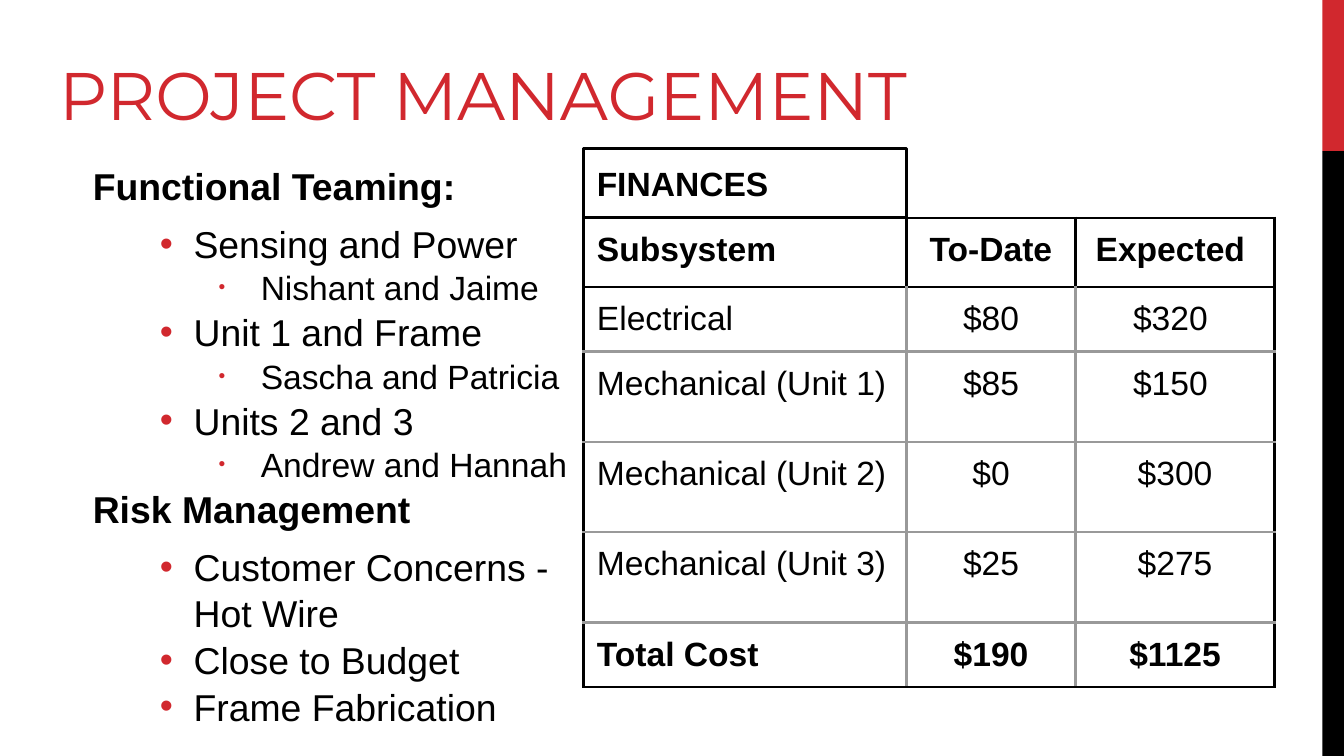
from dataclasses import dataclass

from lxml import etree
from pptx import Presentation
from pptx.dml import color
from pptx.enum import shapes, text
from pptx.oxml import ns
from pptx.util import Pt


@dataclass(frozen=True)
class Theme:
    red: str = "D1282E"
    black: str = "000000"
    grey: str = "999999"
    heading_font: str = "Montserrat"
    body_font: str = "Arial"
    title_size: float = 36
    body_size: float = 20
    small_size: float = 18
    line_width: float = 1.5
    inset: float = 7.2
    line_spacing: float = 1.04


def rgb(value):
    return color.RGBColor.from_string(value)


def add_xml(parent, tag, **attrs):
    return etree.SubElement(parent, ns.qn(tag), attrs)


class SlideBuilder:
    def __init__(self, slide, theme):
        self.slide = slide
        self.theme = theme

    def place(self, sp, box):
        sp.left, sp.top, sp.width, sp.height = map(Pt, box)

    def pad(self, target):
        target.margin_left = target.margin_right = Pt(self.theme.inset)
        target.margin_top = target.margin_bottom = Pt(self.theme.inset)

    def style(self, p, size, bold=False, font=None, ink=None):
        for r in p.runs:
            r.font.size = Pt(size)
            r.font.bold = bold
            r.font.name = font or self.theme.body_font
            r.font.color.rgb = rgb(ink or self.theme.black)

    def bar(self, box, fill):
        sp = self.slide.shapes.add_shape(shapes.MSO_SHAPE.RECTANGLE, *map(Pt, box))
        sp.shadow.inherit = False
        sp.fill.solid()
        sp.fill.fore_color.rgb = rgb(fill)
        sp.line.fill.background()

    def title(self, box, words):
        t = self.theme
        sp = self.slide.shapes.title
        self.place(sp, box)
        tf = sp.text_frame
        tf.text = words
        tf.auto_size = text.MSO_AUTO_SIZE.NONE
        tf.vertical_anchor = text.MSO_ANCHOR.BOTTOM
        self.pad(tf)
        p = tf.paragraphs[0]
        p.alignment = text.PP_ALIGN.LEFT
        self.style(p, t.title_size, font=t.heading_font, ink=t.red)

    def bullet(self, p, level):
        pPr = p._p.get_or_add_pPr()
        indent = -22.5 if level == 2 else -18
        pPr.set("marL", str(Pt(36 * (level + 1))))
        pPr.set("indent", str(Pt(indent)))
        if level == 0:
            add_xml(pPr, "a:buNone")
            return
        add_xml(add_xml(pPr, "a:buClr"), "a:srgbClr", val=self.theme.red)
        if level == 2:
            add_xml(pPr, "a:buSzPct", val="57000")
        add_xml(pPr, "a:buFont", typeface=self.theme.body_font)
        add_xml(pPr, "a:buChar", char="•")

    def outline(self, box, items):
        t = self.theme
        sp = self.slide.placeholders[1]
        self.place(sp, box)
        tf = sp.text_frame
        tf.text = "\n".join(words for _, words in items)
        tf.auto_size = text.MSO_AUTO_SIZE.NONE
        tf.vertical_anchor = text.MSO_ANCHOR.TOP
        self.pad(tf)
        previous = None
        for p, (level, _) in zip(tf.paragraphs, items):
            p.level = level
            self.bullet(p, level)
            p.alignment = text.PP_ALIGN.LEFT
            p.line_spacing = t.line_spacing
            p.space_before = Pt(6 if (previous, level) == (0, 1) else 0)
            p.space_after = Pt(0)
            size = t.small_size if level == 2 else t.body_size
            self.style(p, size, bold=level == 0)
            previous = level

    def label(self, box, words):
        t = self.theme
        sp = self.slide.shapes.add_shape(shapes.MSO_SHAPE.RECTANGLE, *map(Pt, box))
        sp.shadow.inherit = False
        sp.fill.background()
        sp.line.color.rgb = rgb(t.black)
        sp.line.width = Pt(t.line_width)
        tf = sp.text_frame
        tf.text = words
        tf.vertical_anchor = text.MSO_ANCHOR.MIDDLE
        self.pad(tf)
        p = tf.paragraphs[0]
        p.alignment = text.PP_ALIGN.LEFT
        self.style(p, t.small_size, bold=True)

    def borders(self, cell, dark_sides):
        t = self.theme
        tcPr = cell._tc.get_or_add_tcPr()
        for i, side in enumerate("LRTB"):
            ln = etree.Element(ns.qn(f"a:ln{side}"), w=str(Pt(t.line_width)))
            ink = t.black if side in dark_sides else t.grey
            add_xml(add_xml(ln, "a:solidFill"), "a:srgbClr", val=ink)
            tcPr.insert(i, ln)

    def table(self, left, top, widths, heights, rows):
        frame = self.slide.shapes.add_table(
            len(rows), len(widths), Pt(left), Pt(top), Pt(sum(widths)), Pt(sum(heights)))
        table = frame.table
        table.first_row = table.horz_banding = False
        for column, width in zip(table.columns, widths):
            column.width = Pt(width)
        for row, height in zip(table.rows, heights):
            row.height = Pt(height)
        last_row, last_col = len(rows) - 1, len(widths) - 1
        for i, row in enumerate(rows):
            for j, words in enumerate(row):
                cell = table.cell(i, j)
                cell.text = words
                cell.fill.background()
                self.pad(cell)
                p = cell.text_frame.paragraphs[0]
                p.alignment = text.PP_ALIGN.CENTER if j else text.PP_ALIGN.LEFT
                self.style(p, self.theme.small_size, bold=i in (0, last_row))
                dark = {"L": i == 0 or j == 0, "R": i == 0 or j == last_col,
                        "T": i <= 1, "B": i in (0, last_row)}
                self.borders(cell, [side for side, on in dark.items() if on])


OUTLINE = [
    (0, "Functional Teaming:"),
    (1, "Sensing and Power"),
    (2, "Nishant and Jaime"),
    (1, "Unit 1 and Frame"),
    (2, "Sascha and Patricia"),
    (1, "Units 2 and 3"),
    (2, "Andrew and Hannah"),
    (0, "Risk Management"),
    (1, "Customer Concerns - Hot Wire"),
    (1, "Close to Budget"),
    (1, "Frame Fabrication"),
]
FINANCES = [
    ("Subsystem", "To-Date", "Expected "),
    ("Electrical", "$80", "$320 "),
    ("Mechanical (Unit 1)", "$85", "$150 "),
    ("Mechanical (Unit 2)", "$0", "$300"),
    ("Mechanical (Unit 3)", "$25", "$275"),
    ("Total Cost", "$190", "$1125"),
]


def main():
    prs = Presentation()
    prs.slide_width, prs.slide_height = Pt(720), Pt(405)
    theme = Theme()
    s = SlideBuilder(prs.slides.add_slide(prs.slide_layouts[1]), theme)
    s.bar((708.5, 0, 11.5, 81), theme.red)
    s.bar((708.5, 81, 11.5, 324), theme.black)
    s.title((24.5, 13.7, 671, 65.5), "PROJECT MANAGEMENT")
    s.outline((24.5, 79.2, 300, 264), OUTLINE)
    s.label((312.6, 79.4, 173, 37.2), "FINANCES")
    s.table(312.6, 116.7, (173, 90.6, 106.6), (37, 34.6, 48.4, 48.4, 48.4, 34.6), FINANCES)
    prs.save("out.pptx")


if __name__ == "__main__":
    main()
